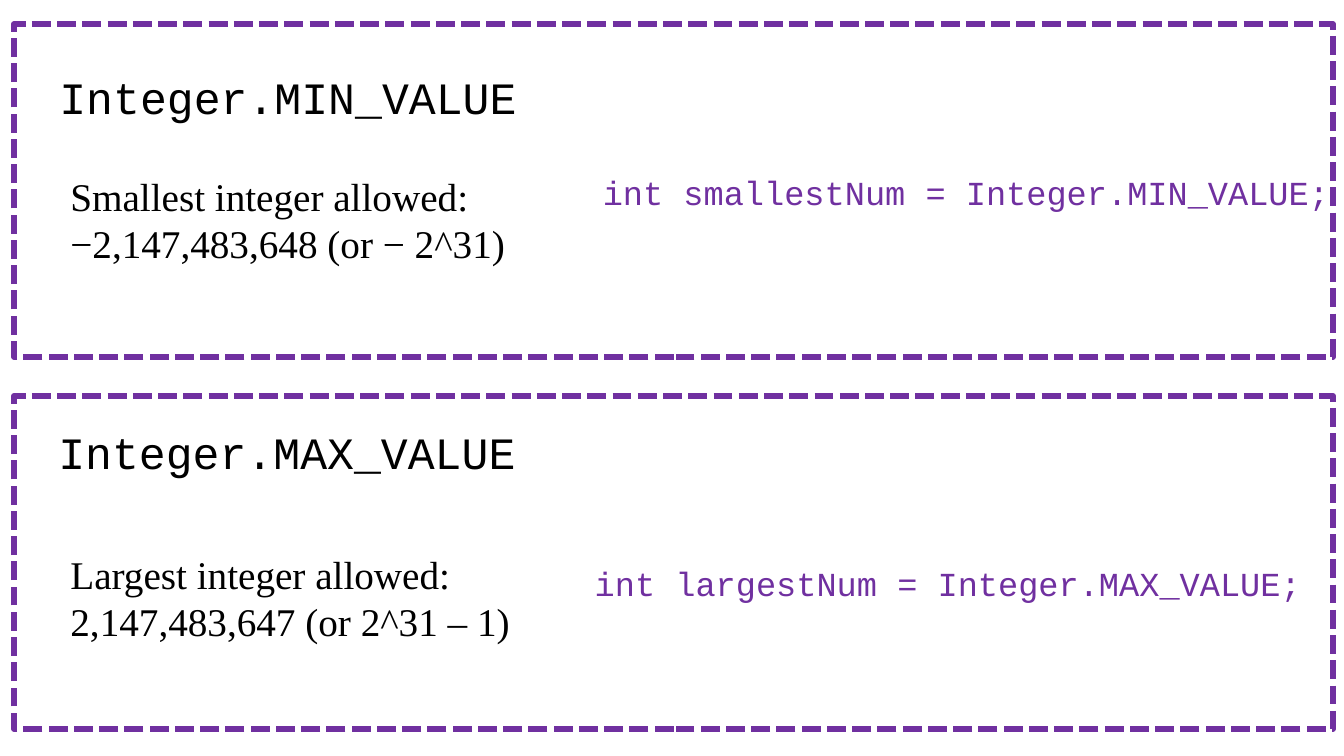
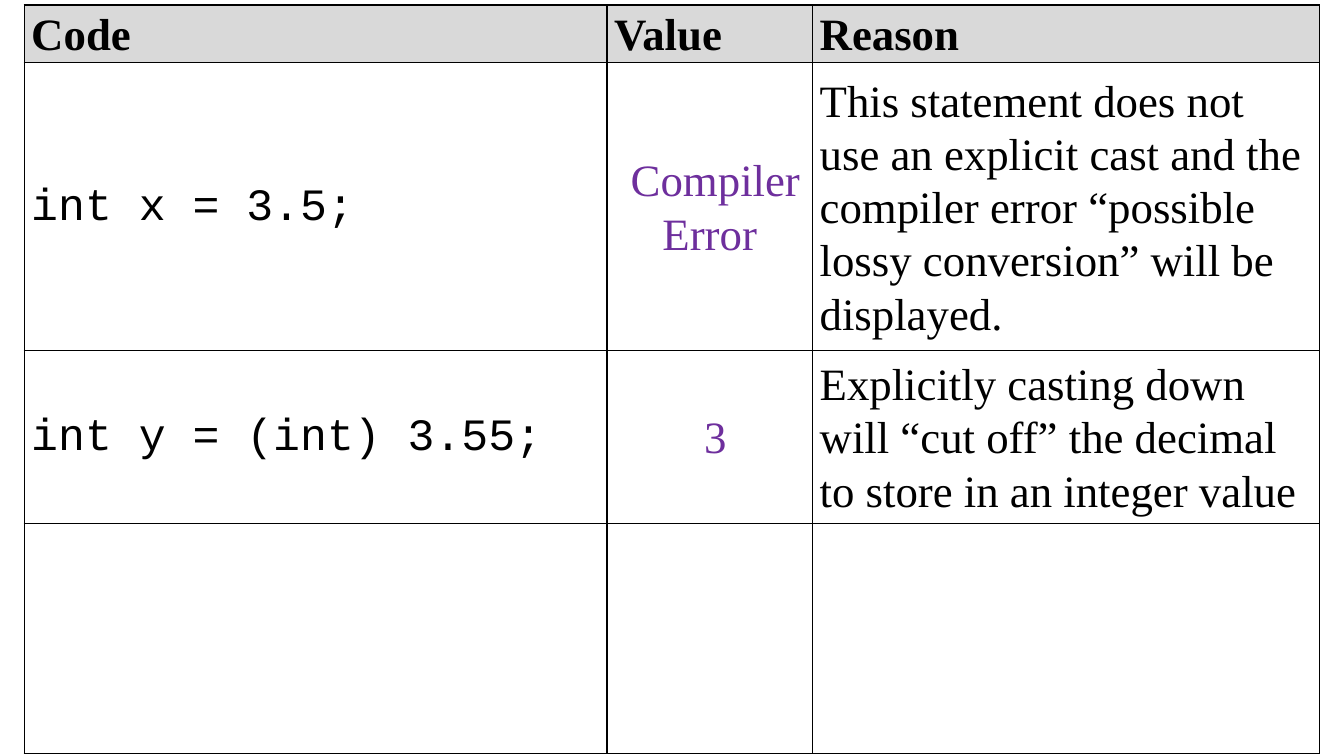
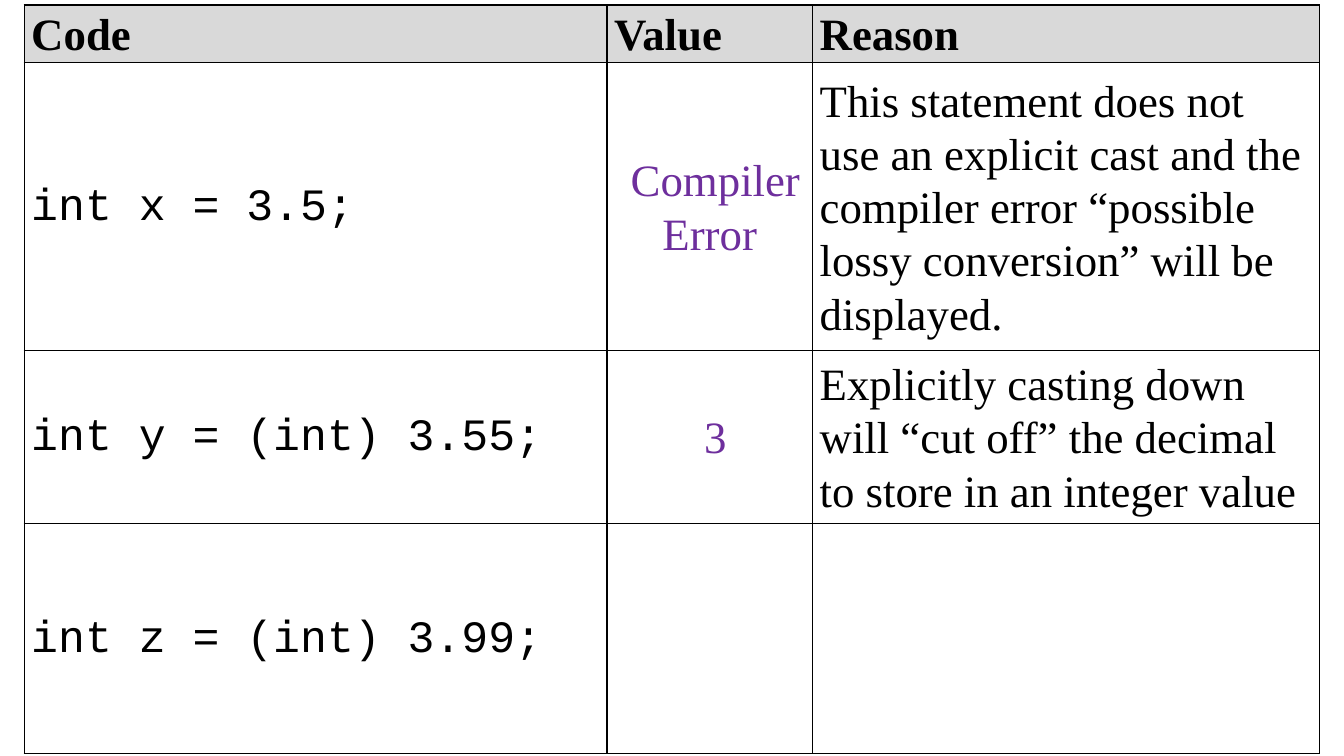
from pptx import Presentation
from pptx.dml.color import RGBColor
from pptx.enum.dml import MSO_LINE
from pptx.enum.shapes import MSO_SHAPE
from pptx.enum.text import MSO_ANCHOR, PP_ALIGN
from pptx.oxml import parse_xml
from pptx.oxml.ns import nsdecls
from pptx.util import Inches, Pt

RECTANGLE = MSO_SHAPE.RECTANGLE
SQUARE_DASH = MSO_LINE.SQUARE_DOT
MIDDLE = MSO_ANCHOR.MIDDLE
LEFT, CENTER = PP_ALIGN.LEFT, PP_ALIGN.CENTER

CODE_FONT, BODY_FONT = "Courier New", "Times New Roman"
BLACK, PURPLE, VIOLET, GREY = "000000", "7030A0", "6E2F9D", "D9D9D9"

COLUMN_WIDTHS = [5.78, 2.04, 5.03]
ROW_HEIGHTS = [0.55, 2.86, 1.71, 2.28]
COLUMN_STYLES = [
    (CODE_FONT, BLACK, LEFT),
    (BODY_FONT, VIOLET, CENTER),
    (BODY_FONT, BLACK, LEFT),
]
HEADINGS = ["Code", "Value", "Reason"]
CASTS = [
    ["int x = 3.5;", " Compiler Error",
     "This statement does not use an explicit cast and the compiler error "
     "“possible lossy conversion” will be displayed."],
    ["int y = (int) 3.55;", " 3",
     "Explicitly casting down will “cut off” the decimal to store in an integer value"],
]


def rgb(value):
    """Turn a hex string into a colour."""
    return RGBColor.from_string(value)


class Lesson:
    """Hold the deck, its style and the current slide."""

    def __init__(self):
        """Start a widescreen deck."""
        self.deck = Presentation()
        self.deck.slide_width = Inches(13.33)
        self.deck.slide_height = Inches(7.5)
        self.page = None

    def add_page(self):
        """Make a new blank slide the current one."""
        self.page = self.deck.slides.add_slide(self.deck.slide_layouts[6])

    def add_span(self, para, text, size, font, color, bold=False):
        """Add one formatted run to a paragraph."""
        span = para.add_run()
        span.text = text
        span.font.size = Pt(size)
        span.font.name = font
        span.font.bold = bold
        span.font.color.rgb = rgb(color)

    def text(self, left, top, width, height, lines, size, font, color=BLACK):
        """Add a text box with one paragraph per line."""
        box = self.page.shapes.add_textbox(
            Inches(left), Inches(top), Inches(width), Inches(height))
        frame = box.text_frame
        frame.word_wrap = True
        for index, line in enumerate(lines):
            para = frame.add_paragraph() if index else frame.paragraphs[0]
            self.add_span(para, line, size, font, color)

    def panel(self, top):
        """Add a dashed outline across the slide."""
        box = self.page.shapes.add_shape(
            RECTANGLE, Inches(0.14), Inches(top), Inches(13.08), Inches(3.3))
        box.shadow.inherit = False
        box.fill.background()
        box.line.color.rgb = rgb(PURPLE)
        box.line.width = Pt(4.5)
        box.line.dash_style = SQUARE_DASH

    def borders(self, cell):
        """Draw a thin black line on each side of a cell."""
        properties = cell._tc.get_or_add_tcPr()
        for side in ("lnL", "lnR", "lnT", "lnB"):
            properties.append(parse_xml(
                f'<a:{side} {nsdecls("a")} w="{Pt(1)}"><a:solidFill>'
                f'<a:srgbClr val="{BLACK}"/></a:solidFill></a:{side}>'))

    def cell(self, cell, text, font, color, align, header):
        """Format a table cell and fill in its text."""
        cell.margin_left = cell.margin_right = Inches(0.07)
        cell.margin_top = cell.margin_bottom = 0
        cell.vertical_anchor = MIDDLE
        self.borders(cell)
        if header:
            cell.fill.solid()
            cell.fill.fore_color.rgb = rgb(GREY)
        else:
            cell.fill.background()
        if text:
            para = cell.text_frame.paragraphs[0]
            para.alignment = align
            para.line_spacing = 1.07
            self.add_span(para, text, 32, font, color, header)

    def table(self, rows):
        """Add the table of casts with a grey heading row."""
        grid = self.page.shapes.add_table(
            len(ROW_HEIGHTS), len(COLUMN_WIDTHS), Inches(0.24), Inches(0.05),
            Inches(sum(COLUMN_WIDTHS)), Inches(sum(ROW_HEIGHTS))).table
        grid.first_row = grid.horz_banding = False
        for column, width in zip(grid.columns, COLUMN_WIDTHS):
            column.width = Inches(width)
        for row, height in zip(grid.rows, ROW_HEIGHTS):
            row.height = Inches(height)
        for row, texts in enumerate([HEADINGS] + rows):
            for column, text in enumerate(texts):
                header = row == 0
                style = (BODY_FONT, BLACK, LEFT) if header else COLUMN_STYLES[column]
                self.cell(grid.cell(row, column), text, *style, header)


def main():
    """Build the three slides and save them."""
    lesson = Lesson()

    lesson.add_page()
    lesson.text(0.49, 0.64, 4.88, 0.64, ["Integer.MIN_VALUE"], 32, CODE_FONT)
    lesson.text(0.6, 1.66, 4.67, 1.04,
                ["Smallest integer allowed:", "−2,147,483,648 (or − 2^31)"], 28, BODY_FONT)
    lesson.text(5.88, 1.66, 7.45, 0.5,
                ["int smallestNum = Integer.MIN_VALUE;"], 24, CODE_FONT, PURPLE)
    lesson.text(0.48, 4.16, 4.9, 0.64, ["Integer.MAX_VALUE"], 32, CODE_FONT)
    lesson.text(0.6, 5.41, 4.75, 1.04,
                ["Largest integer allowed:", "2,147,483,647 (or 2^31 – 1)"], 28, BODY_FONT)
    lesson.text(5.8, 5.54, 7.53, 0.5,
                ["int largestNum = Integer.MAX_VALUE;"], 24, CODE_FONT, PURPLE)
    for top in (0.24, 3.93):
        lesson.panel(top)

    for last_code in ("", "int z = (int) 3.99;"):
        lesson.add_page()
        lesson.table(CASTS + [[last_code, "", ""]])

    lesson.deck.save("out.pptx")


if __name__ == "__main__":
    main()
